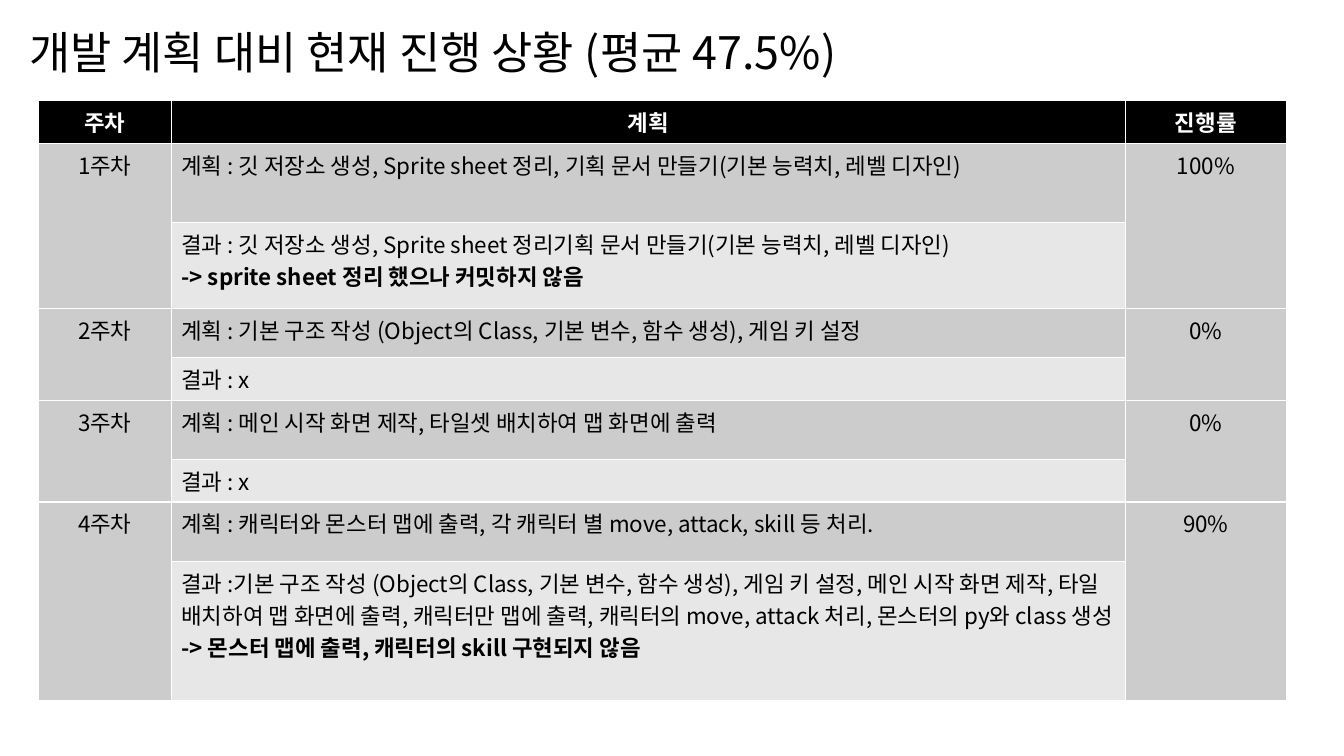
from dataclasses import dataclass

from lxml import etree
from pptx import Presentation
from pptx.dml.color import RGBColor
from pptx.enum.text import MSO_ANCHOR, MSO_AUTO_SIZE, PP_ALIGN
from pptx.oxml.ns import qn
from pptx.util import Emu, Pt

LEFT, CENTER = PP_ALIGN.LEFT, PP_ALIGN.CENTER
MIDDLE, NO_FIT = MSO_ANCHOR.MIDDLE, MSO_AUTO_SIZE.NONE

FONT = "Noto Sans CJK KR"
BLACK, WHITE = "000000", "FFFFFF"
PLAN_FILL, RESULT_FILL = "CCCCCC", "E7E7E7"
TITLE_ONLY = 5


@dataclass
class Week:
    name: str
    plan: str
    result: str
    progress: str
    heights: tuple[int, int]
    remark: str = ""


HEADERS = ("주차", "계획", "진행률")
HEADER_HEIGHT = 39
COLUMN_WIDTHS = (132, 946, 160)
WEEKS = [
    Week("1주차",
         "계획 : 깃 저장소 생성, Sprite sheet 정리, 기획 문서 만들기(기본 능력치, 레벨 디자인)",
         "결과 : 깃 저장소 생성, Sprite sheet 정리기획 문서 만들기(기본 능력치, 레벨 디자인)",
         "100%", (79, 85), "-> sprite sheet 정리 했으나 커밋하지 않음"),
    Week("2주차",
         "계획 : 기본 구조 작성 (Object의 Class, 기본 변수, 함수 생성), 게임 키 설정",
         "결과 : x", "0%", (49, 41)),
    Week("3주차",
         "계획 : 메인 시작 화면 제작, 타일셋 배치하여 맵 화면에 출력",
         "결과 : x", "0%", (59, 41)),
    Week("4주차",
         "계획 : 캐릭터와 몬스터 맵에 출력, 각 캐릭터 별 move, attack, skill 등 처리.",
         "결과 :기본 구조 작성 (Object의 Class, 기본 변수, 함수 생성), 게임 키 설정, "
         "메인 시작 화면 제작, 타일 배치하여 맵 화면에 출력, 캐릭터만 맵에 출력, "
         "캐릭터의 move, attack 처리, 몬스터의 py와 class 생성",
         "90%", (59, 136), "-> 몬스터 맵에 출력, 캐릭터의 skill 구현되지 않음"),
]


def px(n: int) -> Emu:
    """100 px to the inch."""
    return Emu(n * 9144)


def rgb(value: str) -> RGBColor:
    return RGBColor.from_string(value)


def write(p, text: str, size: int, color: str = BLACK, bold: bool = False,
          align=LEFT) -> None:
    p.alignment = align
    r = p.add_run()
    r.text = text
    for name, value in {"name": FONT, "size": Pt(size), "bold": bold}.items():
        setattr(r.font, name, value)
    r.font.color.rgb = rgb(color)
    # Korean glyphs use the East Asian font slot
    latin = r.font._element.find(qn("a:latin"))
    ea = etree.Element(qn("a:ea"), typeface=FONT)
    latin.addnext(ea)


def fill_cell(cell, text: str, fill: str, color: str = BLACK,
              bold: bool = False, align=LEFT, remark: str = "") -> None:
    cell.fill.solid()
    cell.fill.fore_color.rgb = rgb(fill)
    tf = cell.text_frame
    write(tf.paragraphs[0], text, 16, color, bold, align)
    if remark:
        write(tf.add_paragraph(), remark, 16, color, True, align)


def add_title(slide, text: str) -> None:
    sp = slide.shapes.title
    box = {"left": 19, "top": -18, "width": 1150, "height": 145}
    for name, value in box.items():
        setattr(sp, name, px(value))
    tf = sp.text_frame
    for name, value in {"word_wrap": True, "auto_size": NO_FIT,
                        "vertical_anchor": MIDDLE}.items():
        setattr(tf, name, value)
    p = tf.paragraphs[0]
    p.line_spacing = 0.9
    write(p, text, 32)


def add_progress_table(slide) -> None:
    heights = [HEADER_HEIGHT] + [h for week in WEEKS for h in week.heights]
    table = slide.shapes.add_table(
        len(heights), len(COLUMN_WIDTHS), px(38), px(100),
        px(sum(COLUMN_WIDTHS)), px(sum(heights))).table
    for column, width in zip(table.columns, COLUMN_WIDTHS):
        column.width = px(width)
    for row, height in zip(table.rows, heights):
        row.height = px(height)

    # Header row
    for col, text in enumerate(HEADERS):
        fill_cell(table.cell(0, col), text, BLACK, WHITE, True, CENTER)

    # Two rows a week: plan above result, outer columns merged
    for i, week in enumerate(WEEKS):
        top = 1 + 2 * i
        for col, text in ((0, week.name), (2, week.progress)):
            cell = table.cell(top, col)
            cell.merge(table.cell(top + 1, col))
            fill_cell(cell, text, PLAN_FILL, align=CENTER)
        fill_cell(table.cell(top, 1), week.plan, PLAN_FILL)
        fill_cell(table.cell(top + 1, 1), week.result, RESULT_FILL,
                  remark=week.remark)


def main() -> None:
    prs = Presentation()
    prs.slide_width, prs.slide_height = px(1333), px(750)
    slide = prs.slides.add_slide(prs.slide_layouts[TITLE_ONLY])
    add_title(slide, "개발 계획 대비 현재 진행 상황 (평균 47.5%)")
    add_progress_table(slide)
    prs.save("out.pptx")


if __name__ == "__main__":
    main()
